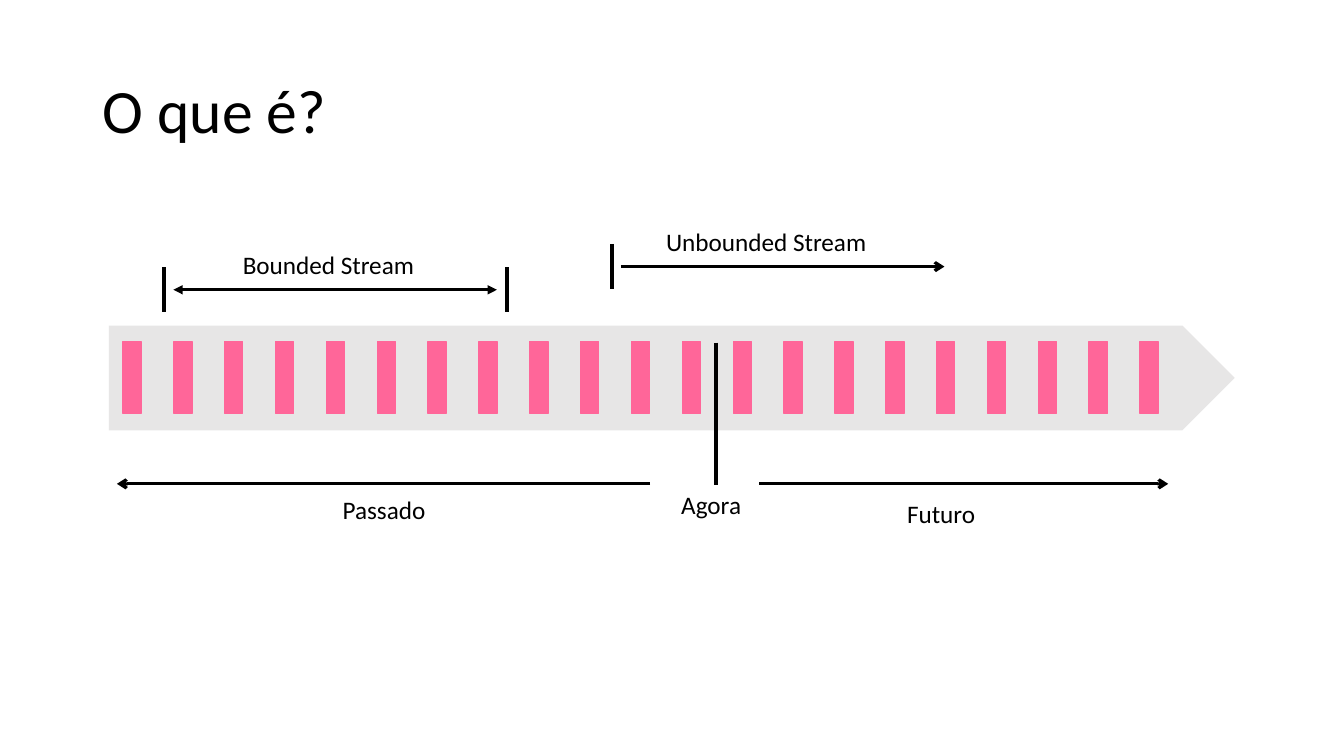
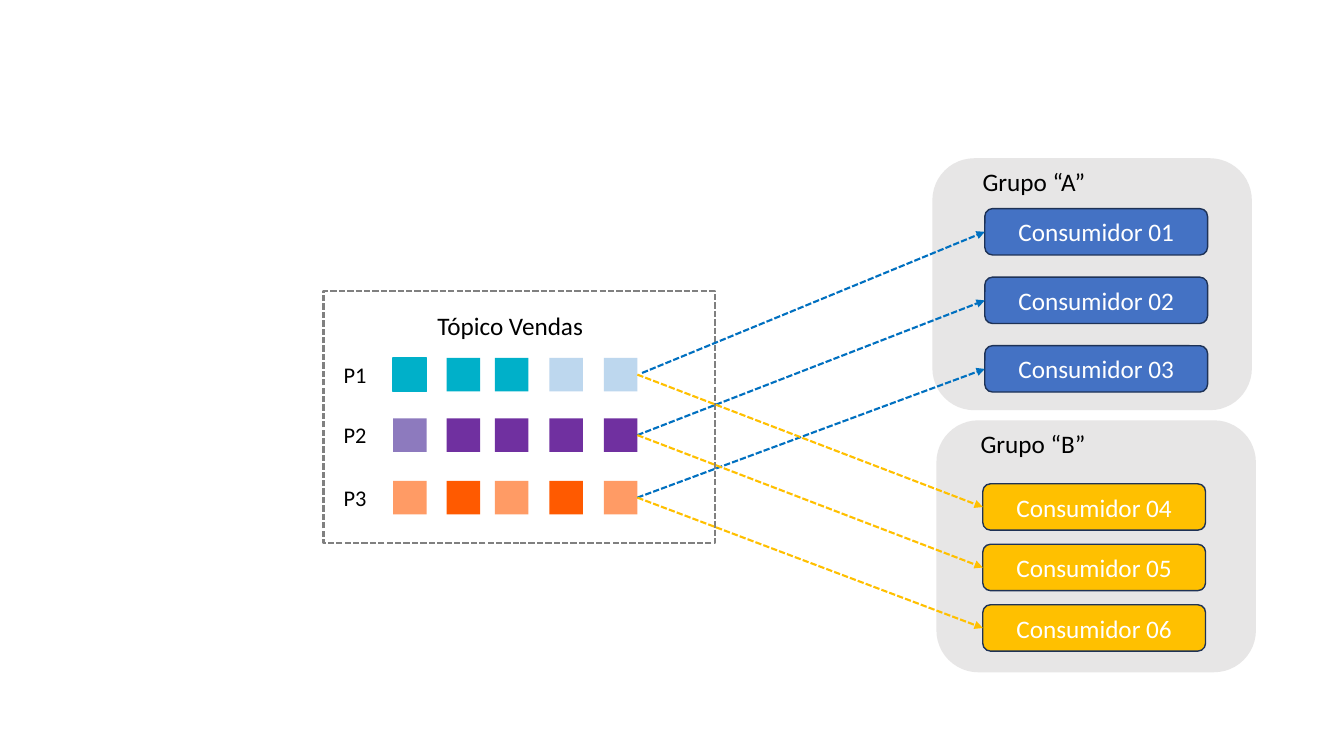
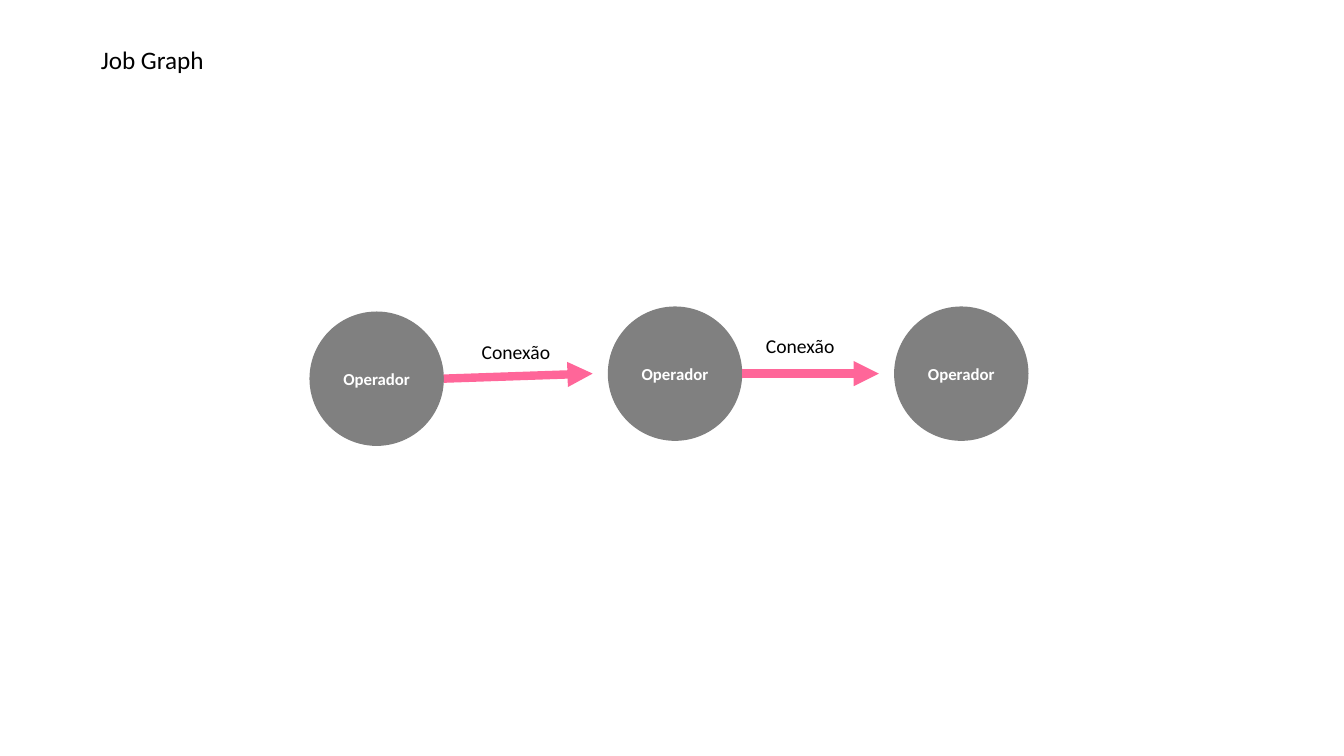
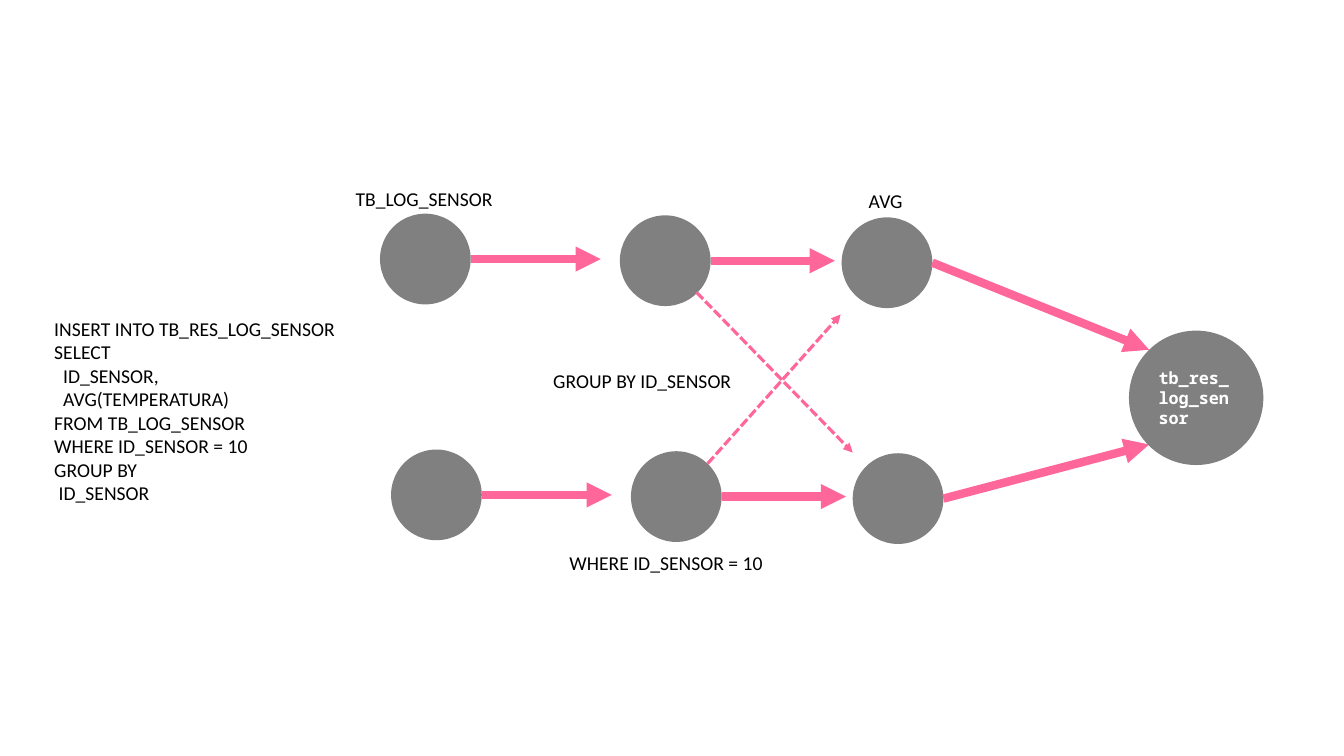
from lxml import etree
from pptx import Presentation
from pptx.dml.color import RGBColor
from pptx.enum.dml import MSO_LINE
from pptx.enum.shapes import MSO_CONNECTOR, MSO_SHAPE
from pptx.enum.text import MSO_ANCHOR, MSO_AUTO_SIZE, PP_ALIGN
from pptx.oxml.ns import qn
from pptx.util import Inches, Pt

RECT = MSO_SHAPE.RECTANGLE
ROUND = MSO_SHAPE.ROUNDED_RECTANGLE
OVAL = MSO_SHAPE.OVAL
BAND = MSO_SHAPE.PENTAGON
STRAIGHT = MSO_CONNECTOR.STRAIGHT
DASH = MSO_LINE.SQUARE_DOT
LEFT, CENTER = PP_ALIGN.LEFT, PP_ALIGN.CENTER
MIDDLE = MSO_ANCHOR.MIDDLE
NO_FIT, GROW = MSO_AUTO_SIZE.NONE, MSO_AUTO_SIZE.SHAPE_TO_FIT_TEXT

COLS, ROWS = 40, 22.5
CELL = Inches(7.5) / ROWS
TITLE_ONLY, BLANK = 5, 6
LEFT_SIDE, RIGHT_SIDE = 1, 3

C = {
    "black": "000000", "white": "FFFFFF", "pink": "FF6699",
    "light": "E7E6E6", "gray": "808080", "navy": "1E3256",
    "blue": "4472C4", "link": "0070C0", "gold": "FFC000",
    "teal": "00B0C9", "sky": "BDD7EE", "lilac": "8D7ABE",
    "purple": "7030A0", "peach": "FF9B65", "orange": "FF5A00",
}

SQL = """INSERT INTO TB_RES_LOG_SENSOR
SELECT
  ID_SENSOR,
  AVG(TEMPERATURA)
FROM TB_LOG_SENSOR
WHERE ID_SENSOR = 10
GROUP BY
 ID_SENSOR"""


def grid(*cells):
    return [round(c * CELL) for c in cells]


def rgb(name):
    return RGBColor.from_string(C[name])


def write(tf, text, size, color="black", align=LEFT, name="Calibri", bold=False):
    tf.text = text
    tf.word_wrap = True
    look = {"size": Pt(size), "name": name, "bold": bold}
    for p in tf.paragraphs:
        p.alignment = align
        for key, value in look.items():
            setattr(p.font, key, value)
        p.font.color.rgb = rgb(color)


def title(s, text, box, size, spacing):
    sp = s.shapes.title
    sp.left, sp.top, sp.width, sp.height = grid(*box)
    tf = sp.text_frame
    write(tf, text, size)
    tf.auto_size = NO_FIT
    tf.vertical_anchor = MIDDLE
    tf.paragraphs[0].line_spacing = spacing


def label(s, text, x, y, w, h=1.2, size=18):
    tf = s.shapes.add_textbox(*grid(x, y, w, h)).text_frame
    write(tf, text, size)
    tf.auto_size = GROW


def shape(s, kind, x, y, w, h, fill=None, line=None, width=1, dash=None):
    sp = s.shapes.add_shape(kind, *grid(x, y, w, h))
    sp.shadow.inherit = False
    if fill:
        sp.fill.solid()
        sp.fill.fore_color.rgb = rgb(fill)
    else:
        sp.fill.background()
    if line:
        sp.line.color.rgb = rgb(line)
        sp.line.width = Pt(width)
        sp.line.dash_style = dash
    else:
        sp.line.fill.background()
    return sp


def line(s, start, end, color="black", width=2.25, dash=None, head=None, tail=None):
    cx = s.shapes.add_connector(STRAIGHT, *grid(*start, *end))
    cx.line.color.rgb = rgb(color)
    cx.line.width = Pt(width)
    if dash:
        cx.line.dash_style = dash
    ln = cx.line._get_or_add_ln()
    for tag, kind in (("a:headEnd", head), ("a:tailEnd", tail)):
        if kind:
            etree.SubElement(ln, qn(tag)).set("type", kind)
    etree.SubElement(cx._element.spPr, qn("a:effectLst"))
    return cx


def flow(s, start, end):
    line(s, start, end, "pink", 6, tail="triangle")


def timeline(s, x, y, w, h):
    shape(s, BAND, x, y, w, h, "light")
    count, pitch = 21, 30.27 / 20
    for i in range(count):
        shape(s, RECT, x + 0.42 + i * pitch, y + 0.48, 0.54, 2.13, "pink", "pink")
    line(s, (x + 18.06, y + 0.51), (x + 18.06, y + 4.74), width=3)
    label(s, "Agora", x + 16.74, y + 4.74, 2.64)
    for name, start, end, dx, dy in (("Passado", 16.11, 0.24, 6.66, 4.86),
                                     ("Futuro", 19.35, 31.53, 23.46, 4.98)):
        line(s, (x + start, y + 4.71), (x + end, y + 4.71), tail="arrow")
        label(s, name, x + dx, y + dy, 3.36)


def stream_span(s, name, x, y, w, dx, bounded):
    h = 1.35
    for tick in (x, x + w) if bounded else (x,):
        line(s, (tick, y), (tick, y + h), width=3)
    head, tail = ("triangle", "triangle") if bounded else (None, "arrow")
    line(s, (x + 0.27, y + h / 2), (x + w - 0.3, y + h / 2), head=head, tail=tail)
    label(s, name, x + dx, y - 0.67, w - dx)


def topic(s, x, y, w, h):
    shape(s, RECT, x, y, w, h, line="gray", width=1.5, dash=DASH)
    label(s, "Tópico Vendas", x + 3.09, y + 0.42, 7.41)
    columns = (2.07, 3.66, 5.1, 6.72, 8.34)
    partitions = (
        ("P1", 1.98, ("teal", "teal", "teal", "sky", "sky")),
        ("P2", 3.78, ("lilac", "purple", "purple", "purple", "purple")),
        ("P3", 5.64, ("peach", "orange", "peach", "orange", "peach")),
    )
    last = []
    for name, dy, fills in partitions:
        label(s, name, x + 0.3, y + dy - 0.05, 1.6, 1.1, 16)
        outline = "teal" if name == "P1" else None
        for dx, fill in zip(columns, fills):
            cell = shape(s, RECT, x + dx, y + dy, 1, 1, fill, outline)
            outline = None
        last.append(cell)
    return last


def consumer_group(s, name, first, fill, x, y, dx, dy, pitch):
    shape(s, ROUND, x, y, 9.51, 7.5, "light")
    label(s, f"Grupo “{name}”", x + dx - 0.36, y + 0.09, 5.19)
    boxes = []
    for i in range(3):
        sp = shape(s, ROUND, x + dx, y + dy + i * pitch, 6.63, 1.38, fill, "navy")
        write(sp.text_frame, f"Consumidor {first + i:02}", 18, "white", CENTER)
        boxes.append(sp)
    return boxes


def subscribe(s, cells, consumers, color, loose=None):
    for i, (cell, consumer) in enumerate(zip(cells, consumers)):
        cx = line(s, loose or (0, 0), (0, 0), color, 1.5, DASH, tail="triangle")
        if i or not loose:
            cx.begin_connect(cell, RIGHT_SIDE)
        cx.end_connect(consumer, LEFT_SIDE)


def operators(s, x, y, d):
    nodes = ((x, y + 0.15), (x + 8.88, y), (x + 17.4, y))
    for nx, ny in nodes:
        sp = shape(s, OVAL, nx, ny, d, d, "gray")
        write(sp.text_frame, "Operador", 12, "white", CENTER, bold=True)
    for (ax, ay), (bx, by) in zip(nodes, nodes[1:]):
        flow(s, (ax + d, ay + d / 2), (bx - 0.45, by + d / 2))
    for dx, dy in ((4.83, 0.84), (13.29, 0.66)):
        label(s, "Conexão", x + dx, y + dy, 3, 1, 14)


def sensor_lane(s, x, y, target):
    d = 2.7
    nodes = ((x, y), (x + 7.14, y + 0.05), (x + 13.74, y + 0.11))
    for nx, ny in nodes:
        shape(s, OVAL, nx, ny, d, d, "gray")
    for (ax, ay), (bx, _), gap in zip(nodes, nodes[1:], (0.57, 0.2)):
        flow(s, (ax + d, ay + d / 2), (bx - gap, ay + d / 2))
    nx, ny = nodes[-1]
    flow(s, (nx + d, ny + d / 2), target)


def sink(s, x, y, d):
    sp = shape(s, OVAL, x, y, d, d, "gray")
    write(sp.text_frame, "tb_res_log_sensor", 12, "white", name="Noto Sans Mono", bold=True)


def streams_slide(s):
    title(s, "O que é?", (2.76, 1.2, 34.5, 4.35), 44, 0.9)
    timeline(s, 3.24, 9.69, 33.51, 3.12)
    stream_span(s, "Bounded Stream", 4.89, 7.95, 10.2, 2.04, True)
    stream_span(s, "Unbounded Stream", 18.21, 7.26, 10.2, 1.32, False)


def consumers_slide(s):
    group_b = consumer_group(s, "B", 4, "gold", 27.87, 12.51, 1.38, 1.89, 1.8)
    group_a = consumer_group(s, "A", 1, "blue", 27.75, 4.71, 1.56, 1.5, 2.04)
    cells = topic(s, 9.63, 8.67, 11.64, 7.5)
    subscribe(s, cells, group_a, "link", (19.11, 11.1))
    subscribe(s, cells, group_b, "gold")


def job_slide(s):
    title(s, "Job Graph", (2.7, 1.17, 26.91, 1.2), 18, 1.0)
    operators(s, 9.21, 9.12, 4)


def query_slide(s):
    label(s, SQL, 1.32, 9.27, 9.3, 5.97, 14)
    sensor_lane(s, 11.31, 6.36, (34.2, 10.41))
    sensor_lane(s, 11.64, 13.38, (34.2, 13.23))
    sink(s, 33.6, 9.84, 4)
    for start, end in (((21.06, 13.8), (25.02, 9.36)), ((20.73, 8.7), (25.38, 13.47))):
        line(s, start, end, "pink", dash=DASH, tail="triangle")
    for text, x, y, w in (("TB_LOG_SENSOR", 10.29, 5.4, 5.4),
                          ("AVG", 25.56, 5.46, 1.83),
                          ("WHERE ID_SENSOR = 10", 16.65, 16.26, 6.6),
                          ("GROUP BY ID_SENSOR", 16.17, 10.83, 6.27)):
        label(s, text, x, y, w, 1, 14)


def main():
    prs = Presentation()
    prs.slide_width, prs.slide_height = grid(COLS, ROWS)
    for layout, build in ((TITLE_ONLY, streams_slide), (BLANK, consumers_slide),
                          (TITLE_ONLY, job_slide), (BLANK, query_slide)):
        build(prs.slides.add_slide(prs.slide_layouts[layout]))
    prs.save("out.pptx")


if __name__ == "__main__":
    main()
